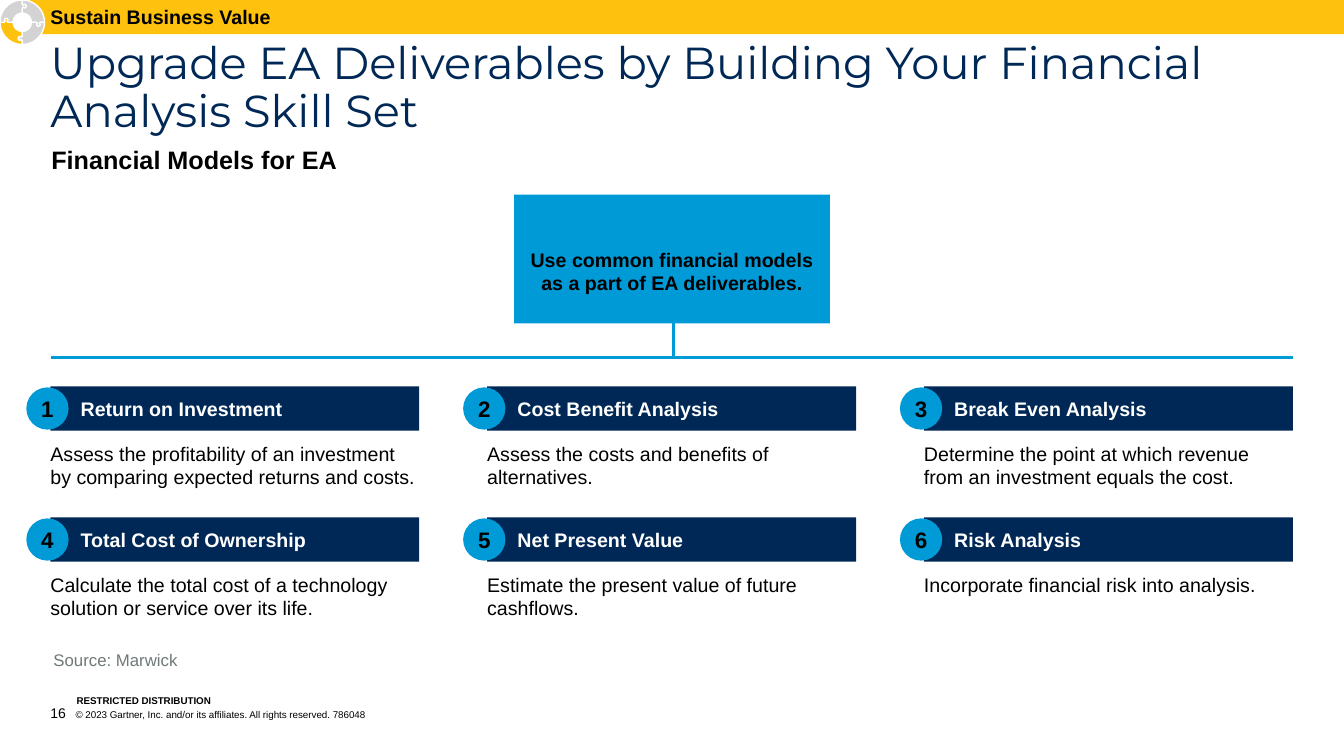
from dataclasses import dataclass
from math import cos, radians, sin
from lxml.etree import SubElement
from pptx import Presentation
from pptx.dml.color import RGBColor
from pptx.enum.shapes import MSO_CONNECTOR, MSO_SHAPE
from pptx.enum.text import MSO_ANCHOR, MSO_AUTO_SIZE, PP_ALIGN
from pptx.oxml.ns import qn
from pptx.util import Pt

MODELS = [
    ("Return on Investment",
     "Assess the profitability of an investment by comparing expected returns and costs."),
    ("Cost Benefit Analysis", "Assess the costs and benefits of alternatives."),
    ("Break Even Analysis",
     "Determine the point at which revenue from an investment equals the cost."),
    ("Total Cost of Ownership",
     "Calculate the total cost of a technology solution or service over its life."),
    ("Net Present Value", "Estimate the present value of future cashflows."),
    ("Risk Analysis", "Incorporate financial risk into analysis."),
]
JIGSAW_EDGE = [(15.9, 0), (12.9, 0), (12.3, 0.8), (12.8, 1.5), (12.6, 2.4), (11.5, 2.9),
               (10.4, 2.4), (10.2, 1.5), (10.7, 0.8), (10.1, 0), (6.5, 0)]


def rgb(value):
    return RGBColor.from_string(value)


def write(p, text, size=14, bold=False, color="000000", font="Arial",
          align=PP_ALIGN.LEFT, spacing=1.0):
    p.alignment = align
    p.line_spacing = spacing
    p.space_before = Pt(0)
    r = p.add_run()
    r.text = text
    r.font.size = Pt(size)
    r.font.bold = bold
    r.font.name = font
    r.font.color.rgb = rgb(color)


def frame(sp, inset=(0, 0, 0, 0), anchor=MSO_ANCHOR.TOP, wrap=True):
    tf = sp.text_frame
    tf.auto_size = MSO_AUTO_SIZE.NONE
    tf.word_wrap = wrap
    tf.vertical_anchor = anchor
    tf.margin_left, tf.margin_top, tf.margin_right, tf.margin_bottom = map(Pt, inset)
    return tf.paragraphs[0]


def hang(p, left, indent):
    pPr = p._p.get_or_add_pPr()
    pPr.set("marL", str(Pt(left)))
    pPr.set("indent", str(Pt(indent)))
    SubElement(pPr, qn("a:buNone"))


@dataclass
class SlideBuilder:
    s: object
    navy: str = "002856"
    blue: str = "009AD7"
    yellow: str = "FEC10D"
    grey: str = "D3D3D3"
    white: str = "FFFFFF"

    def placeholder(self, sp, box, text, **style):
        sp.left, sp.top, sp.width, sp.height = map(Pt, box)
        p = frame(sp)
        hang(p, 0, 0)
        write(p, text, **style)

    def text(self, box, text, inset=(0, 0, 0, 0), anchor=MSO_ANCHOR.TOP, **style):
        sp = self.s.shapes.add_textbox(*map(Pt, box))
        p = frame(sp, inset, anchor)
        write(p, text, **style)
        return p

    def paint(self, sp, fill, line=None):
        sp.shadow.inherit = False
        sp.fill.solid()
        sp.fill.fore_color.rgb = rgb(fill)
        if line:
            sp.line.color.rgb = rgb(line)
            sp.line.width = Pt(1)
        else:
            sp.line.fill.background()

    def shape(self, kind, box, fill, text="", inset=(0, 0, 0, 0),
              anchor=MSO_ANCHOR.TOP, wrap=True, **style):
        sp = self.s.shapes.add_shape(kind, *map(Pt, box))
        self.paint(sp, fill)
        if text:
            write(frame(sp, inset, anchor, wrap), text, **style)

    def line(self, x1, y1, x2, y2):
        cx = self.s.shapes.add_connector(MSO_CONNECTOR.STRAIGHT, *map(Pt, (x1, y1, x2, y2)))
        cx.line.color.rgb = rgb(self.blue)
        cx.line.width = Pt(2)
        SubElement(cx._element.spPr, qn("a:effectLst"))

    def card(self, x, y, number, heading, detail):
        self.shape(MSO_SHAPE.RECTANGLE, (x, y, 263.5, 31.6), self.navy, heading,
                   inset=(21.6, 7.2, 7.2, 7.2), bold=True, color=self.white)
        self.shape(MSO_SHAPE.OVAL, (x - 17.2, y + 0.7, 30.2, 30.2), self.blue, str(number),
                   anchor=MSO_ANCHOR.MIDDLE, wrap=False, size=16, bold=True,
                   align=PP_ALIGN.CENTER)
        self.text((x, y + 32.4, 263.5, 41), detail, inset=(0, 7.2, 0, 0))

    def jigsaw_piece(self, center, start, fill):
        def spot(radius, offset, degrees):
            a = radians(degrees)
            return (Pt(center + radius * cos(a) - offset * sin(a)),
                    Pt(center + radius * sin(a) + offset * cos(a)))

        end = start + 90
        points = [spot(r, h, end) for r, h in JIGSAW_EDGE]
        points += [spot(6.5, 0, a) for a in range(end - 6, start, -6)]
        points += [spot(r, h, start) for r, h in reversed(JIGSAW_EDGE)]
        points += [spot(15.9, 0, a) for a in range(start + 6, end, 6)]
        fb = self.s.shapes.build_freeform(*points[0])
        fb.add_line_segments(points[1:], close=True)
        self.paint(fb.convert_to_shape(), fill, self.white)

    def jigsaw_wheel(self, center):
        self.shape(MSO_SHAPE.OVAL, (center - 10.4, center - 10.4, 20.8, 20.8), self.white)
        for i, fill in enumerate((self.yellow, self.grey, self.grey, self.grey)):
            self.jigsaw_piece(center, 90 + 90 * i, fill)


def main():
    prs = Presentation()
    prs.slide_width, prs.slide_height = Pt(960), Pt(540)
    s = prs.slides.add_slide(prs.slide_layouts[1])
    b = SlideBuilder(s)

    b.placeholder(s.shapes.title, (36, 28.8, 888, 75),
                  "Upgrade EA Deliverables by Building Your Financial Analysis Skill Set",
                  size=32, color=b.navy, font="Montserrat", spacing=0.9)
    b.placeholder(s.placeholders[1], (36.7, 105.8, 888, 19.5), "Financial Models for EA",
                  size=18, bold=True, spacing=0.9)

    b.line(481, 255, 481, 210)
    b.line(36.5, 255.3, 923.8, 255.3)
    b.shape(MSO_SHAPE.RECTANGLE, (367.2, 139, 225.6, 92), b.blue,
            "Use common financial models as a part of EA deliverables.",
            inset=(7.2, 38, 7.2, 7.2), bold=True, align=PP_ALIGN.CENTER)

    for i, (heading, detail) in enumerate(MODELS):
        row, col = divmod(i, 3)
        b.card(36 + 312 * col, 276 + 93.6 * row, i + 1, heading, detail)

    b.text((38.2, 464.4, 580, 16.6), "Source: Marwick", inset=(0, 0, 0, 2.2),
           anchor=MSO_ANCHOR.BOTTOM, size=12, color="6F7878")
    b.text((54.7, 496, 182, 8.6), "RESTRICTED DISTRIBUTION",
           anchor=MSO_ANCHOR.BOTTOM, size=7, bold=True)
    p = b.text((36, 503.3, 575, 12.2), "16", anchor=MSO_ANCHOR.BOTTOM, size=10)
    hang(p, 18, -18)
    write(p, "\t© 2023 Gartner, Inc. and/or its affiliates. All rights reserved. 786048", size=7)

    b.shape(MSO_SHAPE.RECTANGLE, (21.6, 0, 938.4, 24.5), b.yellow, "Sustain Business Value",
            inset=(14.4, 3.6, 3.6, 3.6), anchor=MSO_ANCHOR.MIDDLE, bold=True)
    b.jigsaw_wheel(15.9)
    prs.save("out.pptx")


if __name__ == "__main__":
    main()
